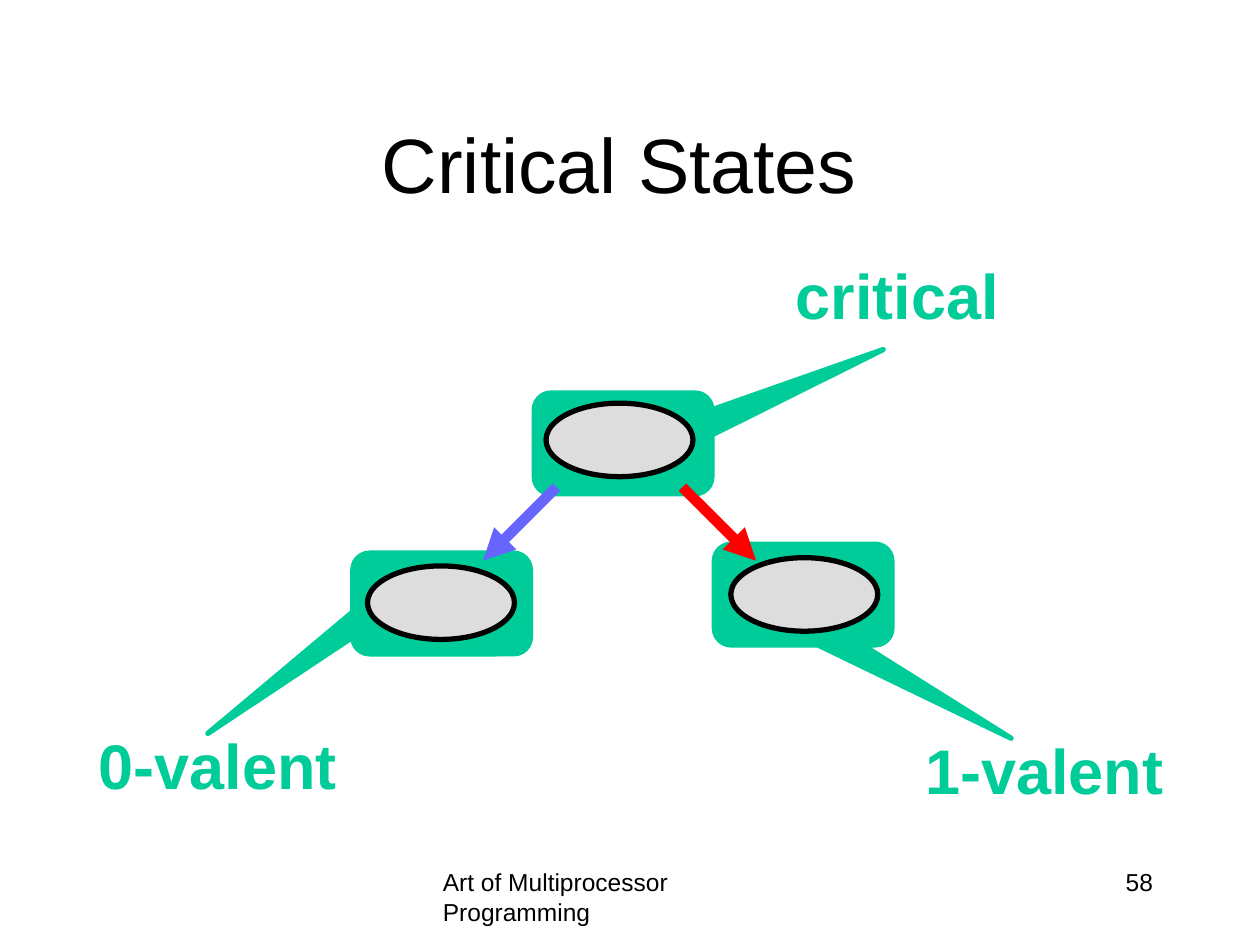
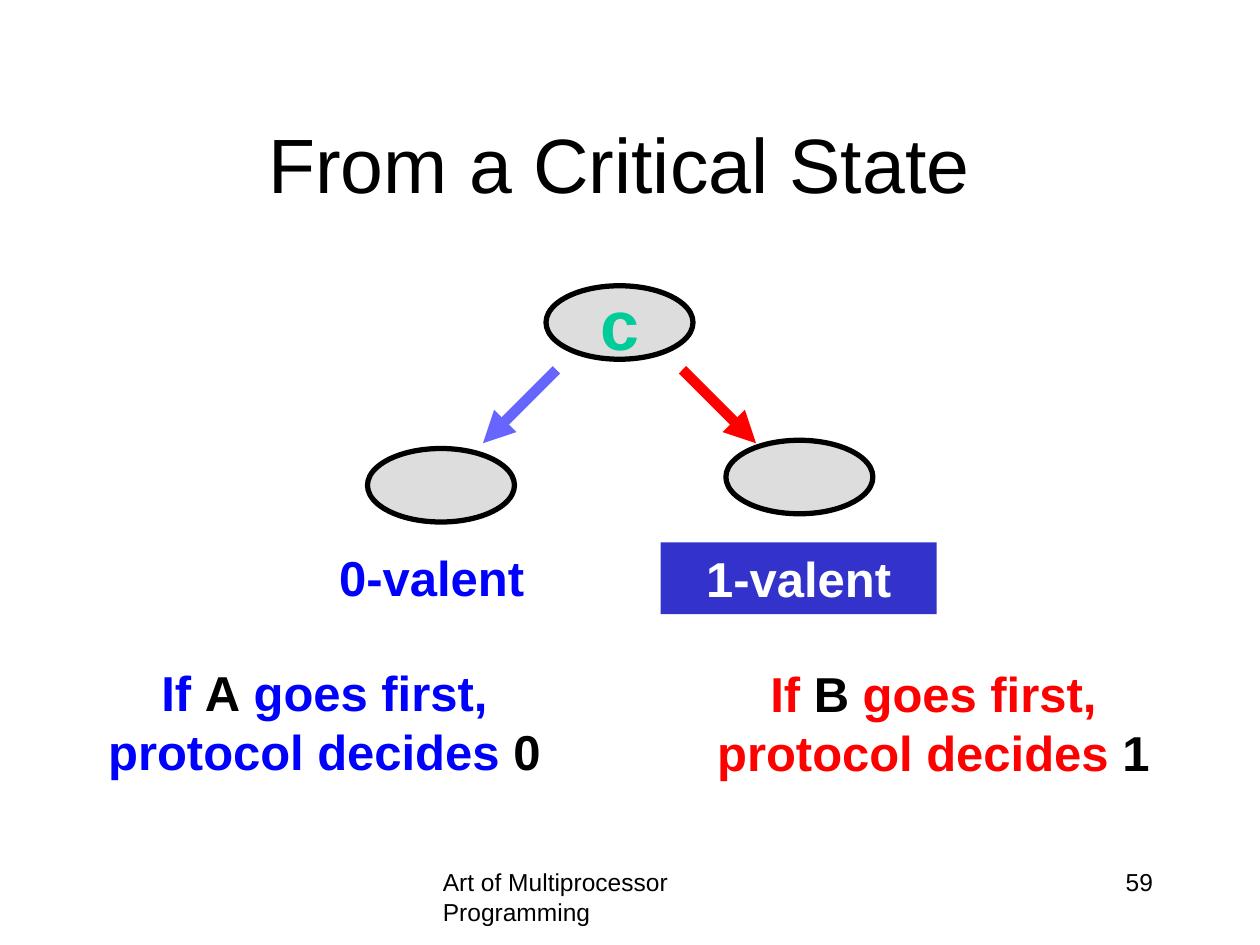
from dataclasses import dataclass

import lxml.etree
import pptx
import pptx.dml.color
import pptx.enum.shapes
import pptx.enum.text
import pptx.oxml.ns
import pptx.util

Pt = pptx.util.Pt
Kind = pptx.enum.shapes.MSO_SHAPE
Align = pptx.enum.text.PP_ALIGN
Anchor = pptx.enum.text.MSO_ANCHOR
Fit = pptx.enum.text.MSO_AUTO_SIZE
qn = pptx.oxml.ns.qn


@dataclass(frozen=True)
class Theme:
    font: str = "Arial"
    black: str = "000000"
    white: str = "FFFFFF"
    green: str = "00CC99"
    gray: str = "DDDDDD"
    violet: str = "6666FF"
    red: str = "FF0000"
    blue: str = "0000FF"
    navy: str = "3333CC"
    title: int = 44
    state: int = 40
    label: int = 36
    body: int = 28
    foot: int = 14
    edge: int = 3
    arrow: int = 6


THEME = Theme()


@dataclass(frozen=True)
class Box:
    left: float
    top: float
    width: float
    height: float


@dataclass(frozen=True)
class Run:
    text: str
    color: str = THEME.black


@dataclass(frozen=True)
class Text:
    box: Box
    runs: tuple[Run, ...]
    size: int
    bold: bool = True
    align: Align = Align.CENTER
    anchor: Anchor = Anchor.TOP
    wrap: bool = True
    grow: bool = True
    fill: str = ""


@dataclass(frozen=True)
class Callout:
    """A rounded callout; the tip is a share of its size, from its centre."""
    left: float
    top: float
    tip: tuple[float, float]


@dataclass(frozen=True)
class Arrow:
    start: tuple[float, float]
    end: tuple[float, float]
    color: str


TITLE = Box(48, 48, 612, 90)
FOOT = Box(246, 492, 228, 36)
NUMBER = Box(516, 492, 150, 36)
NODE = (84, 42)
CALL = (101.5, 57.6)
DROP = 67.1  # how far the tree moves up on the second slide
ROOT = (312, 230.4)
ZERO = (210, 323.4)
ONE = (417.6, 318.7)
ARROWS = (
    Arrow((318, 278.4), (276, 320.4), THEME.violet),
    Arrow((390, 278.4), (432, 320.4), THEME.red),
)
CALLS = (
    Callout(305.3, 224.6, (1.464, -0.931)),
    Callout(408.2, 311, (1.171, 1.426)),
    Callout(201.6, 316.1, (-1.316, 1.289)),
)
LABELS = (
    ("critical", Box(442, 143.3, 136, 51)),
    ("0-valent", Box(47.5, 411.8, 152, 51)),
    ("1-valent", Box(519.8, 414.7, 152, 51)),
)


def rgb(color: str) -> pptx.dml.color.RGBColor:
    return pptx.dml.color.RGBColor.from_string(color)


def place(box: Box) -> tuple[pptx.util.Length, ...]:
    return Pt(box.left), Pt(box.top), Pt(box.width), Pt(box.height)


def write(frame, item: Text) -> None:
    frame.word_wrap = item.wrap
    frame.auto_size = Fit.SHAPE_TO_FIT_TEXT if item.grow else Fit.NONE
    frame.vertical_anchor = item.anchor
    para = frame.paragraphs[0]
    para.alignment = item.align
    for part in item.runs:
        run = para.add_run()
        run.text = part.text
        run.font.name = THEME.font
        run.font.size = Pt(item.size)
        run.font.bold = item.bold
        run.font.color.rgb = rgb(part.color)


def add_text(slide, item: Text) -> None:
    if item.fill:
        shape = add_shape(slide, Kind.RECTANGLE, item.box, item.fill)
    else:
        shape = slide.shapes.add_textbox(*place(item.box))
    write(shape.text_frame, item)


def add_shape(slide, kind: Kind, box: Box, fill: str, line: str = ""):
    shape = slide.shapes.add_shape(kind, *place(box))
    shape.shadow.inherit = False
    shape.fill.solid()
    shape.fill.fore_color.rgb = rgb(fill)
    if line:
        shape.line.color.rgb = rgb(line)
        shape.line.width = Pt(THEME.edge)
    else:
        shape.line.fill.background()
    return shape


def add_call(slide, item: Callout) -> None:
    shape = add_shape(slide, Kind.ROUNDED_RECTANGULAR_CALLOUT,
                      Box(item.left, item.top, *CALL), THEME.green, THEME.green)
    for index, value in enumerate((*item.tip, 0.167)):
        shape.adjustments[index] = value


def add_arrow(slide, item: Arrow, lift: float) -> None:
    (x1, y1), (x2, y2) = item.start, item.end
    link = slide.shapes.add_connector(
        pptx.enum.shapes.MSO_CONNECTOR.STRAIGHT,
        Pt(x1), Pt(y1 - lift), Pt(x2), Pt(y2 - lift))
    link.line.color.rgb = rgb(item.color)
    link.line.width = Pt(THEME.arrow)
    props = link._element.spPr
    lxml.etree.SubElement(props.find(qn("a:ln")), qn("a:tailEnd"), type="triangle")
    lxml.etree.SubElement(props, qn("a:effectLst"))


def add_tree(slide, nodes: tuple[tuple[float, float], ...], lift: float = 0,
             name: str = "") -> None:
    """Draw the root, its two children and the arrows; name the root."""
    for index, (left, top) in enumerate(nodes):
        box = Box(left, top - lift, *NODE)
        shape = add_shape(slide, Kind.OVAL, box, THEME.gray, THEME.black)
        if name and index == 0:
            write(shape.text_frame,
                  Text(box, (Run(name, THEME.green),), THEME.state,
                       anchor=Anchor.MIDDLE, wrap=False, grow=False))
    for arrow in ARROWS:
        add_arrow(slide, arrow, lift)


def add_slide(deck, title: str, number: int):
    slide = deck.slides.add_slide(deck.slide_layouts[6])
    for item in (
        Text(FOOT, (Run("Art of Multiprocessor Programming"),), THEME.foot,
             bold=False, align=Align.LEFT, grow=False),
        Text(NUMBER, (Run(str(number)),), THEME.foot,
             bold=False, align=Align.RIGHT, grow=False),
        Text(TITLE, (Run(title),), THEME.title,
             bold=False, anchor=Anchor.MIDDLE, grow=False),
    ):
        add_text(slide, item)
    return slide


def draw_states(deck) -> None:
    slide = add_slide(deck, "Critical States", 58)
    for call in CALLS:
        add_call(slide, call)
    add_tree(slide, (ROOT, ZERO, ONE))
    for text, box in LABELS:
        add_text(slide, Text(box, (Run(text, THEME.green),), THEME.label,
                             align=Align.RIGHT, wrap=False))


def draw_moves(deck) -> None:
    slide = add_slide(deck, "From a Critical State", 59)
    add_tree(slide, (ROOT, ZERO, (ONE[0] - 2.8, ONE[1])), DROP, "c")
    for left, top, color, who, value in (
        (26.6, 375.1, THEME.blue, "A", "0"),
        (374.6, 375.8, THEME.red, "B", "1"),
    ):
        runs = (Run("If ", color), Run(who),
                Run(" goes first, protocol decides ", color), Run(value))
        add_text(slide, Text(Box(left, top, 317.5, 74.2), runs, THEME.body))
    add_text(slide, Text(Box(162, 309.6, 169.2, 41),
                         (Run("0-valent", THEME.blue),), THEME.body))
    add_text(slide, Text(Box(377.5, 310, 157.7, 41),
                         (Run("1-valent", THEME.white),), THEME.body,
                         fill=THEME.navy))


def main() -> None:
    deck = pptx.Presentation()
    deck.slide_width, deck.slide_height = Pt(720), Pt(540)
    draw_states(deck)
    draw_moves(deck)
    deck.save("out.pptx")


if __name__ == "__main__":
    main()
